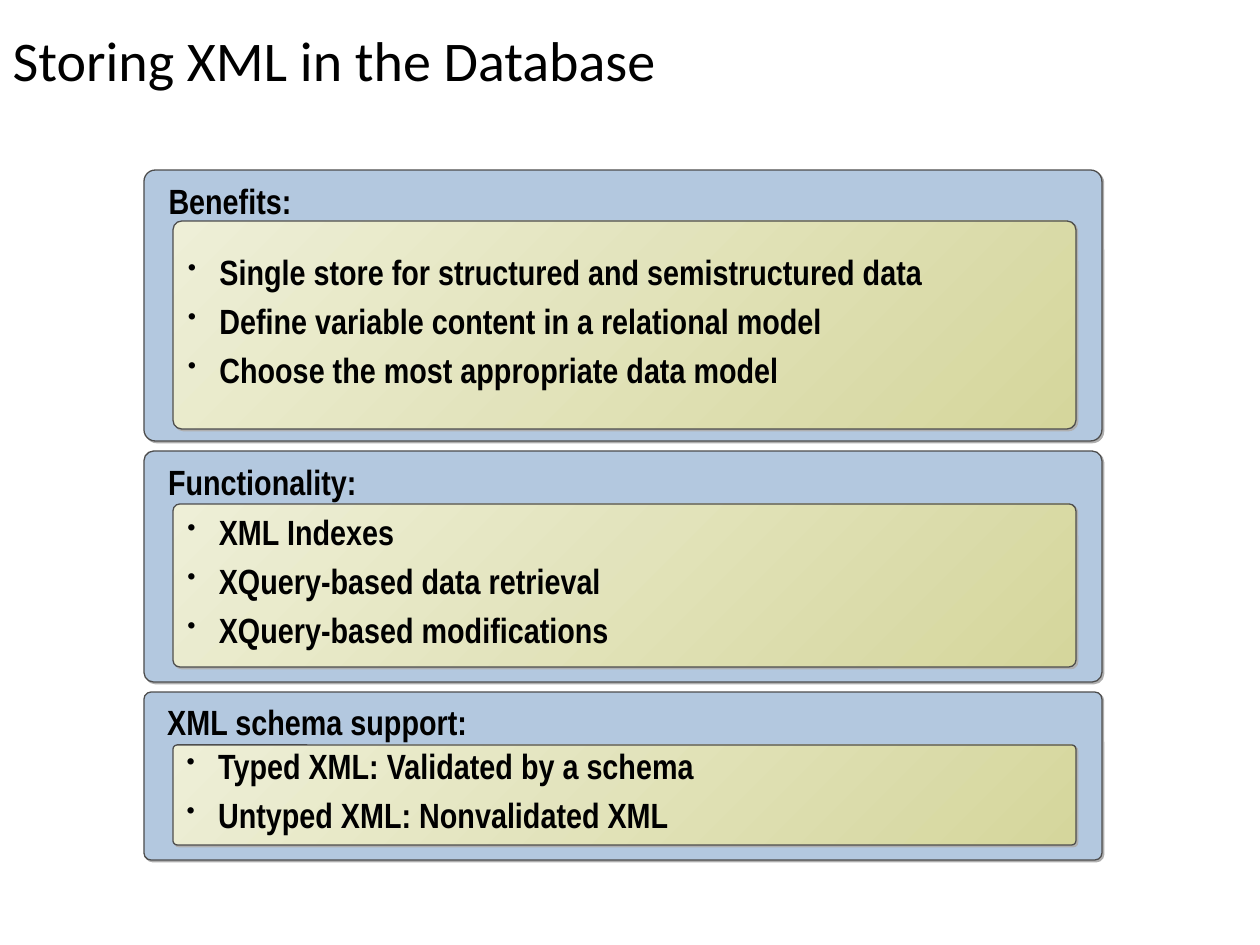
from dataclasses import dataclass

from lxml import etree
from pptx import Presentation
from pptx import util as u
from pptx.dml.color import RGBColor
from pptx.enum import shapes, text
from pptx.oxml.ns import qn

SCALE = 914400 / 126


@dataclass(frozen=True)
class Theme:
    ink: str = "000000"
    panel: str = "B3C8DF"
    card_from: str = "EEEFD7"
    card_to: str = "D5D69C"
    outline: str = "4D4D4D"
    shadow: str = "AFAFAF"
    title_font: str = "Calibri"
    body_font: str = "Arial Narrow"
    title_size: int = 32
    body_size: int = 20


@dataclass(frozen=True)
class Section:
    heading: str
    bullets: tuple[str, ...]
    height: int
    card_offset: int
    card_height: int


THEME = Theme()
PANEL_LEFT, PANEL_WIDTH = 144, 958
CARD_LEFT, CARD_WIDTH = 173, 903
FIRST_TOP, GAP = 170, 10

SECTIONS = (
    Section("Benefits:", (
        "Single store for structured and semistructured data",
        "Define variable content in a relational model",
        "Choose the most appropriate data model",
    ), 271, 51, 208),
    Section("Functionality:", (
        "XML Indexes",
        "XQuery-based data retrieval",
        "XQuery-based modifications",
    ), 231, 53, 163),
    Section("XML schema support:", (
        "Typed XML: Validated by a schema",
        "Untyped XML: Nonvalidated XML",
    ), 168, 53, 100),
)


def px(n: int) -> int:
    return round(n * SCALE)


def rgb(value: str) -> RGBColor:
    return RGBColor.from_string(value)


def style_runs(p, font: str, size: int, bold: bool) -> None:
    for r in p.runs:
        r.font.name = font
        r.font.size = u.Pt(size)
        r.font.bold = bold
        r.font.color.rgb = rgb(THEME.ink)


def add_shadow(sp) -> None:
    sp.shadow.inherit = False
    effects = sp._element.spPr.find(qn("a:effectLst"))
    shadow = etree.SubElement(effects, qn("a:outerShdw"), blurRad="0",
                              dist=str(u.Pt(1.4)), dir="2700000",
                              algn="ctr", rotWithShape="0")
    etree.SubElement(shadow, qn("a:srgbClr"), val=THEME.shadow)


def add_box(s, left: int, top: int, width: int, height: int, anchor):
    sp = s.shapes.add_shape(shapes.MSO_SHAPE.ROUNDED_RECTANGLE,
                            px(left), px(top), px(width), px(height))
    sp.adjustments[0] = 0.042
    sp.line.color.rgb = rgb(THEME.outline)
    sp.line.width = u.Pt(0.75)
    add_shadow(sp)
    sp.text_frame.word_wrap = True
    sp.text_frame.vertical_anchor = anchor
    return sp


def set_indent(p, margin: float, indent: float) -> None:
    pPr = p._p.get_or_add_pPr()
    pPr.set("marL", str(u.Inches(margin)))
    pPr.set("indent", str(u.Inches(indent)))


def add_bullet(p) -> None:
    pPr = p._p.get_or_add_pPr()
    color = etree.SubElement(pPr, qn("a:buClr"))
    etree.SubElement(color, qn("a:srgbClr"), val=THEME.ink)
    etree.SubElement(pPr, qn("a:buSzPct"), val="70000")
    etree.SubElement(pPr, qn("a:buChar"), char="•")


def add_panel(s, section: Section, top: int) -> None:
    sp = add_box(s, PANEL_LEFT, top, PANEL_WIDTH, section.height,
                 text.MSO_ANCHOR.TOP)
    sp.fill.solid()
    sp.fill.fore_color.rgb = rgb(THEME.panel)
    p = sp.text_frame.paragraphs[0]
    p.text = section.heading
    p.alignment = text.PP_ALIGN.LEFT
    set_indent(p, 0.07, 0)
    style_runs(p, THEME.body_font, THEME.body_size, True)


def add_card(s, section: Section, top: int) -> None:
    sp = add_box(s, CARD_LEFT, top + section.card_offset, CARD_WIDTH,
                 section.card_height, text.MSO_ANCHOR.MIDDLE)
    sp.fill.gradient()
    sp.fill.gradient_angle = 315
    for stop, color in zip(sp.fill.gradient_stops,
                           (THEME.card_from, THEME.card_to)):
        stop.color.rgb = rgb(color)
    tf = sp.text_frame
    tf.text = "\n".join(section.bullets)
    for i, p in enumerate(tf.paragraphs):
        add_bullet(p)
        set_indent(p, 0.25, -0.25)
        p.alignment = text.PP_ALIGN.LEFT
        p.line_spacing = 0.75
        p.space_before = u.Pt(10 if i else 0)
        style_runs(p, THEME.body_font, THEME.body_size, True)


def set_title(s, title: str) -> None:
    sp = s.shapes.title
    sp.left, sp.top, sp.width, sp.height = px(0), px(0), px(1042), px(126)
    tf = sp.text_frame
    tf.text = title
    tf.vertical_anchor = text.MSO_ANCHOR.MIDDLE
    p = tf.paragraphs[0]
    p.alignment = text.PP_ALIGN.LEFT
    p.line_spacing = 0.9
    style_runs(p, THEME.title_font, THEME.title_size, False)


def main() -> None:
    prs = Presentation()
    prs.slide_width, prs.slide_height = px(1260), px(945)
    s = prs.slides.add_slide(prs.slide_layouts[5])
    set_title(s, "Storing XML in the Database")
    top = FIRST_TOP
    for section in SECTIONS:
        add_panel(s, section, top)
        add_card(s, section, top)
        top += section.height + GAP
    prs.save("out.pptx")


if __name__ == "__main__":
    main()
